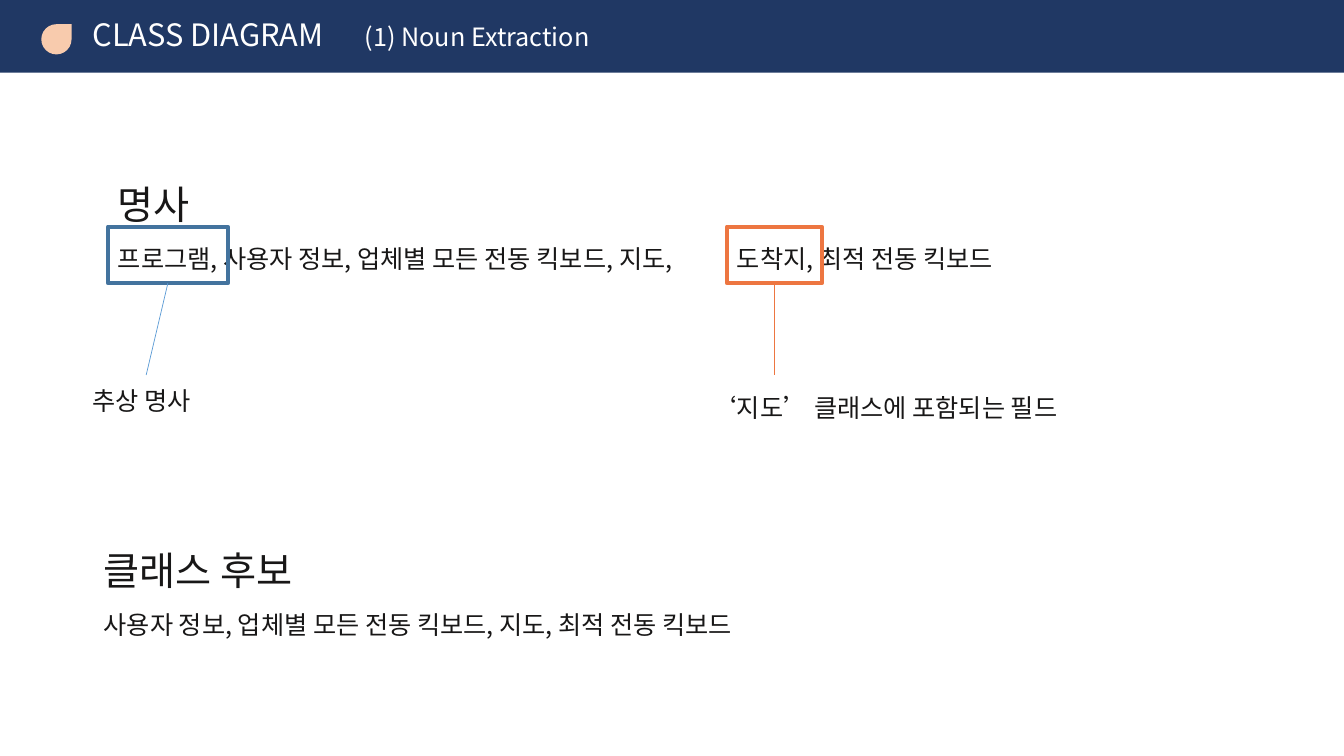
import pptx
import pptx.util
import pptx.dml.color
import pptx.enum.shapes
import pptx.enum.text
import pptx.oxml.ns
import lxml.etree

Inches = pptx.util.Inches
Pt = pptx.util.Pt
Kind = pptx.enum.shapes.MSO_SHAPE
qn = pptx.oxml.ns.qn
FONT = "Noto Sans CJK KR"
hues = {"navy": "203864", "peach": "F8CBAD", "white": "FFFFFF", "ink": "181717",
        "blue": "43739E", "sky": "5B9BD5", "orange": "ED7641"}


def color(name):
    return pptx.dml.color.RGBColor.from_string(hues[name])


def write(area, lines, hue="ink", space=1.5):
    box = slide.shapes.add_textbox(*map(Inches, area))
    frame = box.text_frame
    frame.word_wrap = True
    frame.auto_size = pptx.enum.text.MSO_AUTO_SIZE.SHAPE_TO_FIT_TEXT
    for row, (stop, runs) in enumerate(lines):
        para = frame.paragraphs[0] if row == 0 else frame.add_paragraph()
        para.line_spacing = space
        if stop:
            tabs = lxml.etree.SubElement(para._p.get_or_add_pPr(), qn("a:tabLst"))
            lxml.etree.SubElement(tabs, qn("a:tab"), pos=str(Inches(stop)), algn="l")
        for text, size in runs:
            run = para.add_run()
            run.text = text
            run.font.size = Pt(size)
            run.font.name = FONT
            run.font.color.rgb = color(hue)
            lxml.etree.SubElement(run._r.get_or_add_rPr(), qn("a:ea"), typeface=FONT)


deck = pptx.Presentation()
deck.slide_width = Inches(13.33)
deck.slide_height = Inches(7.5)
slide = deck.slides.add_slide(deck.slide_layouts[6])

for kind, area, hue in [
    (Kind.RECTANGLE, (0, 0, 13.33, 0.72), "navy"),
    (Kind.TEAR, (0.41, 0.24, 0.3, 0.3), "peach"),
]:
    shape = slide.shapes.add_shape(kind, *map(Inches, area))
    shape.shadow.inherit = False
    shape.fill.solid()
    shape.fill.fore_color.rgb = color(hue)
    shape.line.fill.background()

write((0.82, 0.11, 10.26, 0.47),
      [(2.7, [("CLASS DIAGRAM\t", 22), ("(1) Noun Extraction", 18)])], "white", 1.0)
write((1.07, 1.51, 11.79, 1.26), [
    (None, [("명사", 28)]),
    (6.14, [("프로그램, 사용자 정보, 업체별 모든 전동 킥보드, 지도,\t도착지, 최적 전동 킥보드", 18)]),
])
write((0.93, 5.14, 10.65, 1.18), [
    (None, [("클래스 후보", 28)]),
    (None, [("사용자 정보, 업체별 모든 전동 킥보드, 지도, 최적 전동 킥보드", 18)]),
])
write((0.82, 3.62, 1.67, 0.48), [(None, [("추상 명사", 18)])])
write((6.96, 3.69, 3.86, 0.48), [(None, [("‘지도’ 클래스에 포함되는 필드", 18)])])

for left, width, edge, end, hue in [
    (1.07, 1.19, "blue", 1.45, "sky"),
    (7.21, 0.94, "orange", 7.68, "orange"),
]:
    mark = slide.shapes.add_shape(
        Kind.RECTANGLE, Inches(left), Inches(2.25), Inches(width), Inches(0.56))
    mark.shadow.inherit = False
    mark.fill.background()
    mark.line.color.rgb = color(edge)
    mark.line.width = Pt(3)
    link = slide.shapes.add_connector(
        pptx.enum.shapes.MSO_CONNECTOR.STRAIGHT,
        Inches(left + width / 2), Inches(2.81), Inches(end), Inches(3.72))
    link.begin_connect(mark, 2)
    link.line.color.rgb = color(hue)
    link.line.width = Pt(0.5)
    lxml.etree.SubElement(link._element.spPr, qn("a:effectLst"))

deck.save("out.pptx")
